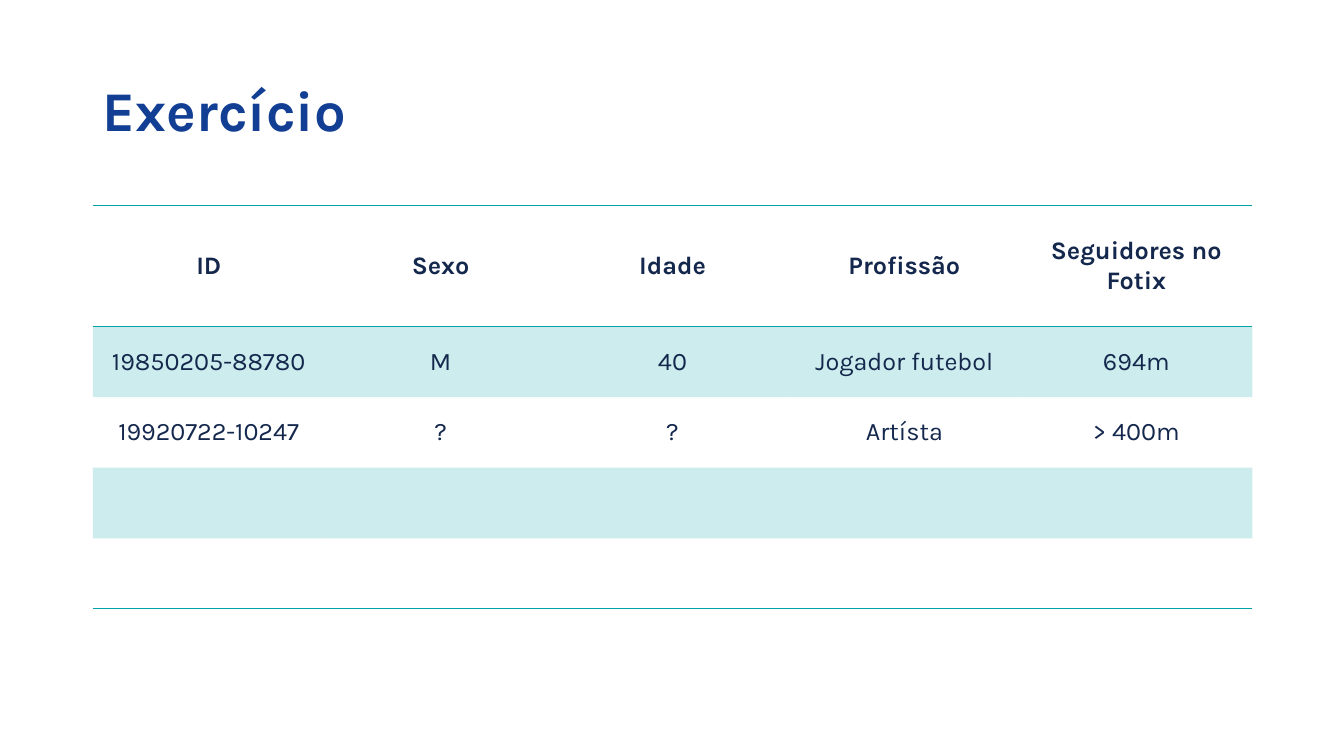
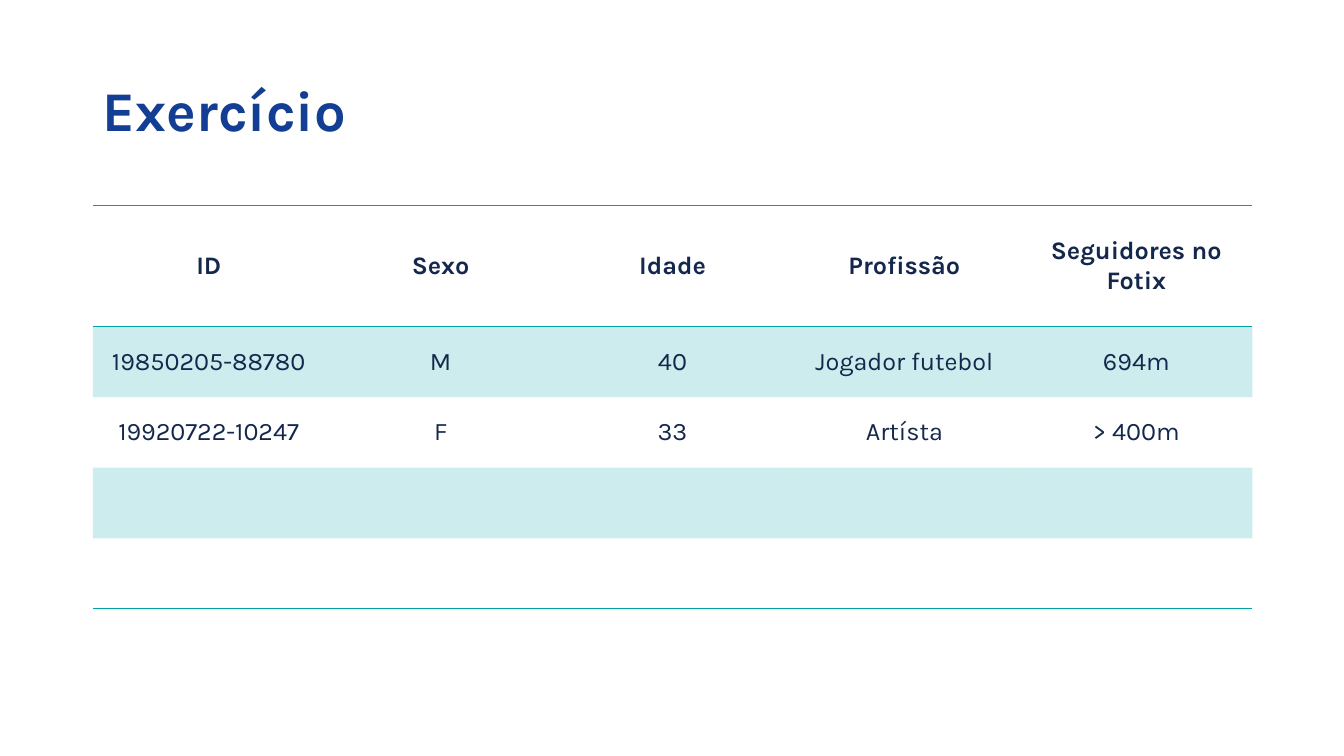
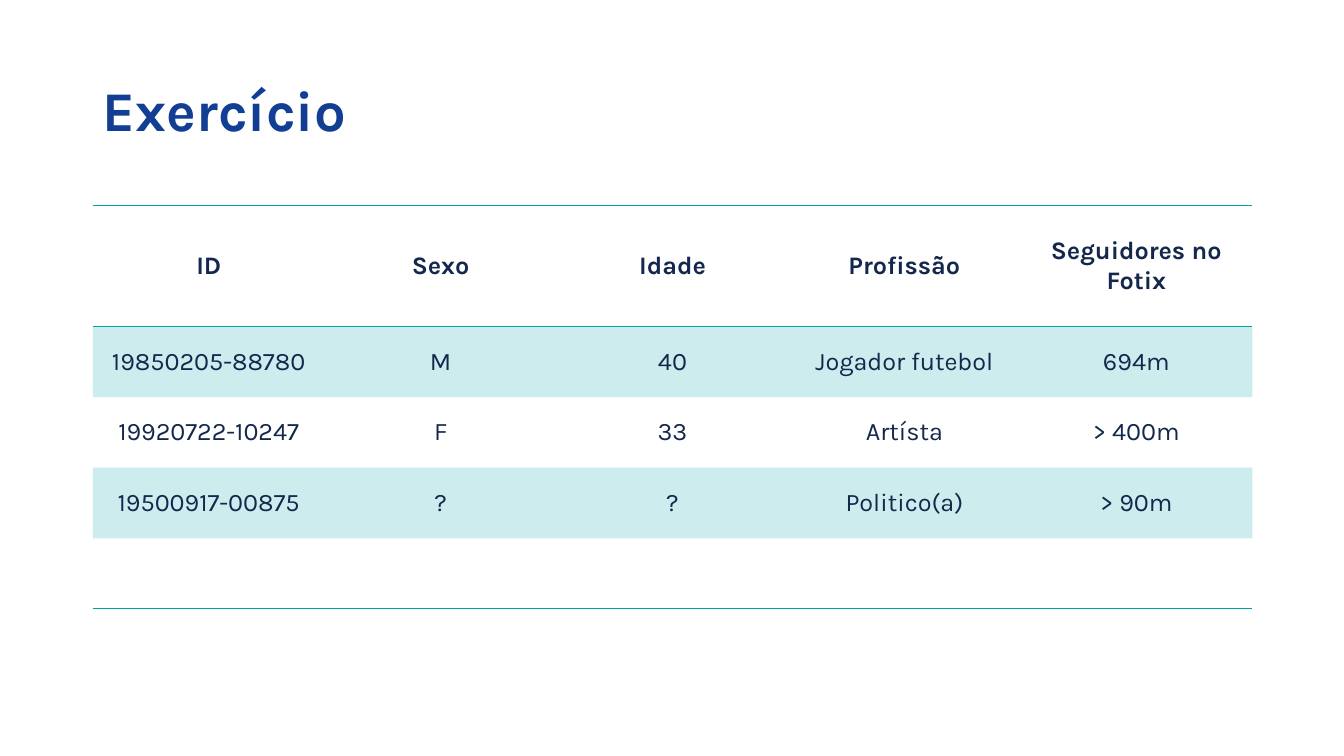
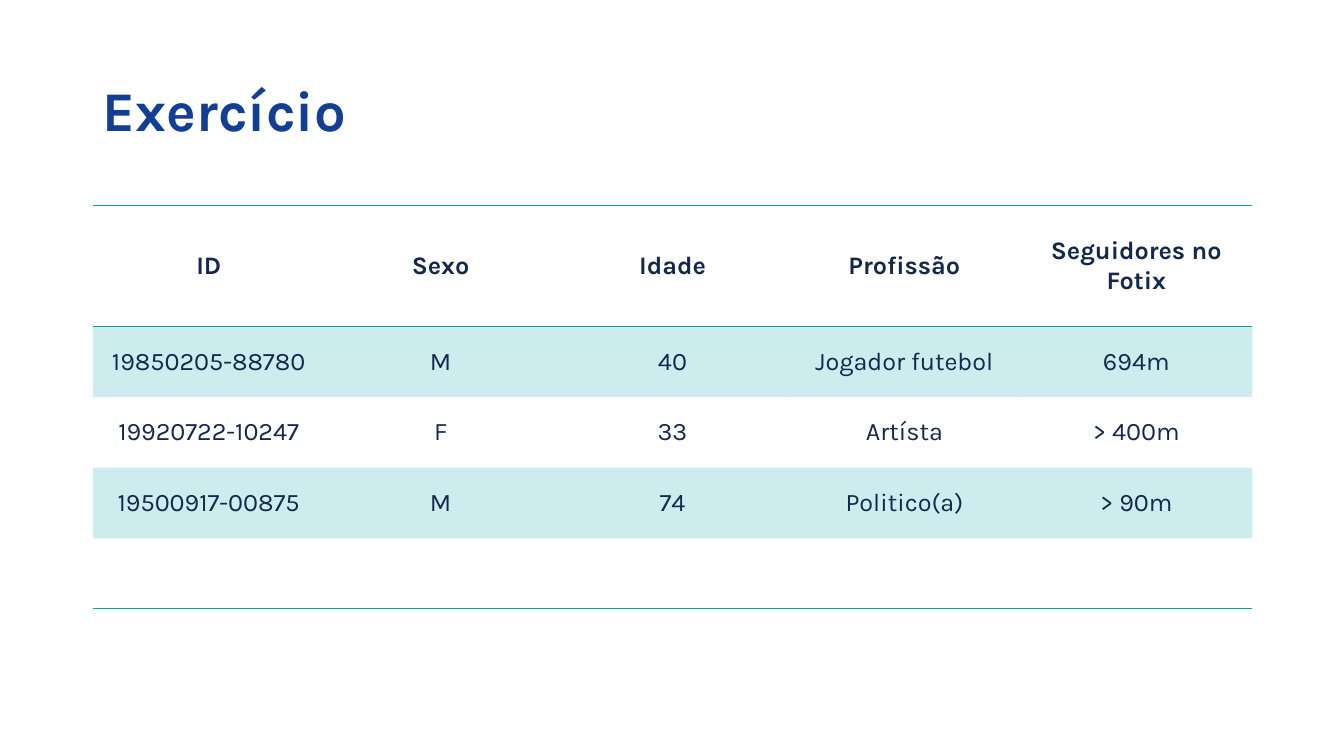
from pptx import Presentation
from pptx.dml.color import RGBColor
from pptx.enum.text import MSO_ANCHOR as Anchor, MSO_AUTO_SIZE as AutoSize, PP_ALIGN as Align
from pptx.oxml.ns import qn
from pptx.util import Pt
from lxml.etree import SubElement

# Shared look
PX = 9144  # EMU per px, 100 px to the inch
FONT = "Karla"
BLUE = RGBColor(0x12, 0x3F, 0x93)
NAVY = RGBColor(0x14, 0x27, 0x4C)
TEAL = RGBColor(0x01, 0xA2, 0xA6)
BAND_ALPHA = 20000  # thousandths of a percent
LINE_WIDTH = Pt(1)

# Grid
LEFT, WIDTH = 92, 1150
TITLE_TOP, TITLE_HEIGHT = 40, 145
TABLE_TOP = 204
ROW_HEIGHTS = [120, 70, 70, 70, 70]
RULED_EDGES = {0, 1, len(ROW_HEIGHTS)}  # row edges that carry a line

# Content
HEADER = ["ID", "Sexo", "Idade", "Profissão", "Seguidores no Fotix"]
UNKNOWN = ("?", "?")


def player():
    return ["19850205-88780", "M", "40", "Jogador futebol", "694m"]


def artist(sex, age):
    return ["19920722-10247", sex, age, "Artísta", "> 400m"]


def politician(sex, age):
    return ["19500917-00875", sex, age, "Politico(a)", "> 90m"]


def px(length):
    return length * PX


def format_runs(paragraph, size, color, bold):
    for run in paragraph.runs:
        run.font.name = FONT
        run.font.size = Pt(size)
        run.font.bold = bold
        run.font.color.rgb = color


def set_title(slide, text):
    title = slide.shapes.title
    title.left, title.top = px(LEFT), px(TITLE_TOP)
    title.width, title.height = px(WIDTH), px(TITLE_HEIGHT)
    text_frame = title.text_frame
    text_frame.text = text
    text_frame.auto_size = AutoSize.NONE
    text_frame.vertical_anchor = Anchor.MIDDLE
    paragraph = text_frame.paragraphs[0]
    paragraph.alignment = Align.LEFT
    paragraph.line_spacing = 0.9
    format_runs(paragraph, 40, BLUE, True)


def set_borders(cell, row):
    """Rule the chosen row edges and clear every other border."""
    properties = cell._tc.get_or_add_tcPr()
    ruled = {"a:lnL": False, "a:lnR": False,
             "a:lnT": row in RULED_EDGES, "a:lnB": row + 1 in RULED_EDGES}
    for tag, visible in ruled.items():
        line = SubElement(properties, qn(tag), w=str(LINE_WIDTH))
        if visible:
            fill = SubElement(line, qn("a:solidFill"))
            SubElement(fill, qn("a:srgbClr"), val=str(TEAL))
        else:
            SubElement(line, qn("a:noFill"))


def set_fill(cell, banded):
    if not banded:
        cell.fill.background()
        return
    cell.fill.solid()
    cell.fill.fore_color.rgb = TEAL
    color = cell._tc.tcPr.find(qn("a:solidFill")).find(qn("a:srgbClr"))
    SubElement(color, qn("a:alpha"), val=str(BAND_ALPHA))


def fill_cell(cell, row, text):
    set_borders(cell, row)
    set_fill(cell, banded=row % 2 == 1)
    cell.vertical_anchor = Anchor.MIDDLE
    if text:
        cell.text_frame.text = text
        paragraph = cell.text_frame.paragraphs[0]
        paragraph.alignment = Align.CENTER
        format_runs(paragraph, 18, NAVY, row == 0)


def add_people_table(slide, people):
    rows, columns = len(ROW_HEIGHTS), len(HEADER)
    table = slide.shapes.add_table(
        rows, columns, px(LEFT), px(TABLE_TOP), px(WIDTH), px(sum(ROW_HEIGHTS))).table
    table.horz_banding = False
    for column in table.columns:
        column.width = px(WIDTH // columns)
    # Rows without a person stay empty
    lines = [HEADER] + people
    lines += [[""] * columns] * (rows - len(lines))
    for row, texts in enumerate(lines):
        table.rows[row].height = px(ROW_HEIGHTS[row])
        for column, text in enumerate(texts):
            fill_cell(table.cell(row, column), row, text)


def main():
    presentation = Presentation()
    presentation.slide_width, presentation.slide_height = px(1333), px(750)
    title_only = presentation.slide_layouts[5]

    # Each slide reveals a little more
    known_artist = artist("F", "33")
    steps = [
        [player(), artist(*UNKNOWN)],
        [player(), known_artist],
        [player(), known_artist, politician(*UNKNOWN)],
        [player(), known_artist, politician("M", "74")],
    ]
    for people in steps:
        slide = presentation.slides.add_slide(title_only)
        set_title(slide, "Exercício")
        add_people_table(slide, people)

    presentation.save("out.pptx")


if __name__ == "__main__":
    main()
